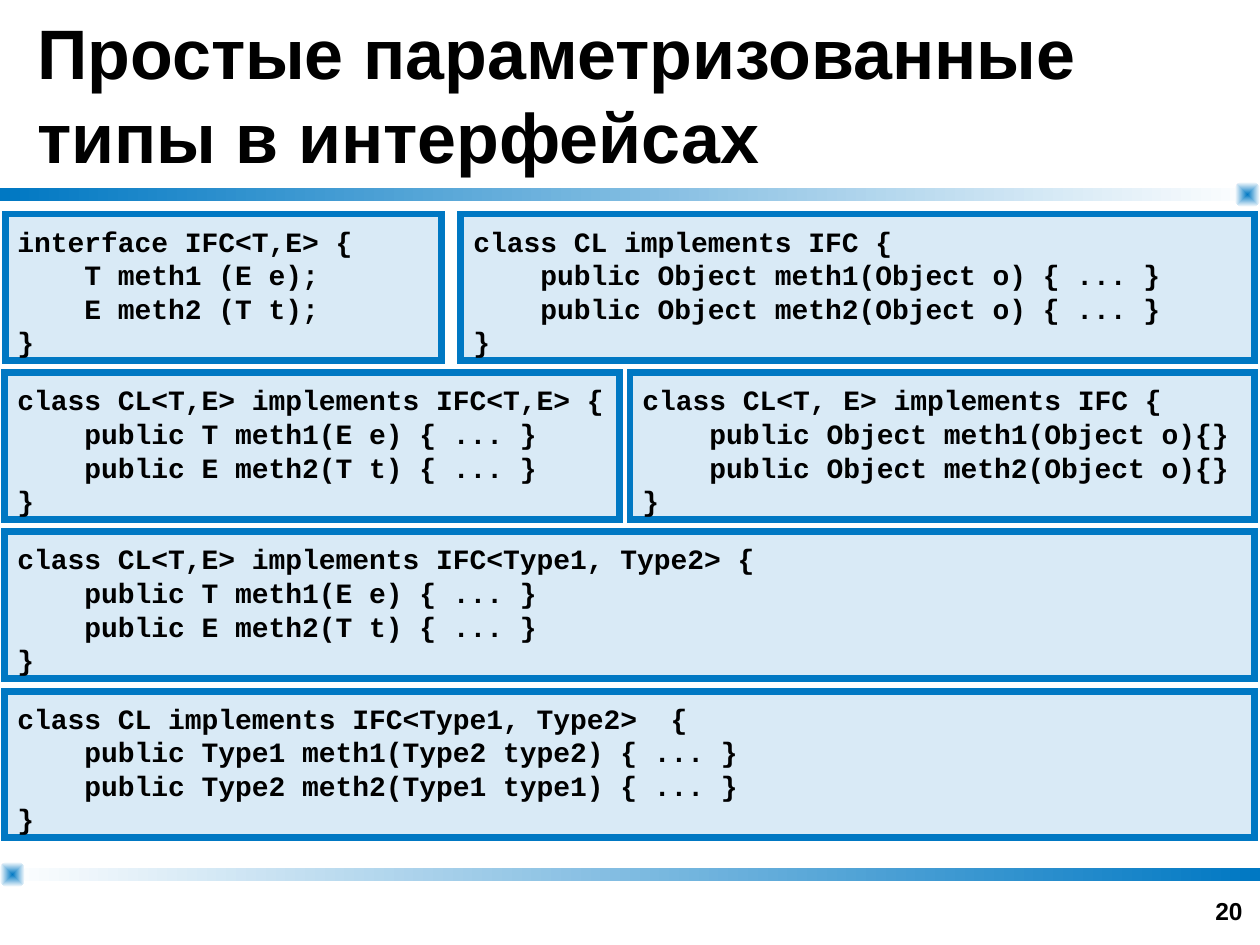
"""Build the slide on simple parameterized types in interfaces."""
from dataclasses import dataclass

from lxml.etree import SubElement
from pptx import Presentation
from pptx.dml.color import RGBColor
from pptx.enum.shapes import MSO_SHAPE as Shape
from pptx.enum.text import MSO_ANCHOR as Anchor, PP_ALIGN as Align
from pptx.oxml.ns import qn
from pptx.util import Emu, Pt


@dataclass(frozen=True)
class Theme:
    accent: RGBColor = RGBColor(0x00, 0x78, 0xC3)
    paper: RGBColor = RGBColor(0xFF, 0xFF, 0xFF)
    ink: RGBColor = RGBColor(0x00, 0x00, 0x00)
    sans: str = "Arial"
    mono: str = "Courier New"
    title_size: int = 40
    code_size: int = 16
    number_size: int = 14
    border: int = 4
    leading: float = 1.2
    tint: int = 15000


THEME = Theme()
TITLE = "Простые параметризованные типы в интерфейсах"
NUMBER = "20"
CODE_ROWS = [
    [
        (5, 442, """interface IFC<T,E> {
    T meth1 (E e);
    E meth2 (T t);
}"""),
        (461, 1255, """class CL implements IFC {
    public Object meth1(Object o) { ... }
    public Object meth2(Object o) { ... }
}"""),
    ],
    [
        (5, 620, """class CL<T,E> implements IFC<T,E> {
    public T meth1(E e) { ... }
    public E meth2(T t) { ... }
}"""),
        (630, 1255, """class CL<T, E> implements IFC {
    public Object meth1(Object o){}
    public Object meth2(Object o){}
}"""),
    ],
    [
        (5, 1255, """class CL<T,E> implements IFC<Type1, Type2> {
    public T meth1(E e) { ... }
    public E meth2(T t) { ... }
}"""),
    ],
    [
        (5, 1255, """class CL implements IFC<Type1, Type2>  {
    public Type1 meth1(Type2 type2) { ... }
    public Type2 meth2(Type1 type1) { ... }
}"""),
    ],
]
WIDTH, HEIGHT = 1260, 945
ROW_TOP, ROW_PITCH, ROW_HEIGHT = 214, 159, 147
BAR_HEIGHT, STAR_SIZE = 13, 25
BARS = [
    (188, THEME.accent, THEME.paper, WIDTH - STAR_SIZE),
    (868, THEME.paper, THEME.accent, 0),
]


def px(length):
    return Emu(round(length * 914400 / 126))


def add_box(slide, kind, *place):
    box = slide.shapes.add_shape(kind, *map(px, place))
    box.shadow.inherit = False
    return box


def add_gradient(slide, kind, place, start, end):
    box = add_box(slide, kind, *place)
    box.line.fill.background()
    box.fill.gradient()
    box.fill.gradient_angle = 0
    for stop, color in zip(box.fill.gradient_stops, (start, end)):
        stop.color.rgb = color
    return box


def add_star(slide, left, top):
    place = (left, top, STAR_SIZE, STAR_SIZE)
    star = add_gradient(slide, Shape.ROUNDED_RECTANGLE, place, THEME.accent, THEME.paper)
    star.adjustments[0] = 0.32
    gradient = star.element.spPr.find(qn("a:gradFill"))
    gradient.remove(gradient.find(qn("a:lin")))
    path = SubElement(gradient, qn("a:path"), {"path": "rect"})
    SubElement(path, qn("a:fillToRect"), dict.fromkeys("ltrb", "50000"))


def write(box, text, font, size, anchor, align=Align.LEFT, leading=None):
    frame = box.text_frame
    frame.word_wrap = True
    frame.vertical_anchor = anchor
    for index, line in enumerate(text.split("\n")):
        paragraph = frame.add_paragraph() if index else frame.paragraphs[0]
        paragraph.alignment = align
        if leading:
            paragraph.line_spacing = Pt(size * leading)
        run = paragraph.add_run()
        run.text = line
        run.font.name = font
        run.font.size = Pt(size)
        run.font.bold = True
        run.font.color.rgb = THEME.ink


def add_code(slide, left, right, top, code):
    panel = add_box(slide, Shape.RECTANGLE, left, top, right - left, ROW_HEIGHT)
    panel.fill.solid()
    panel.fill.fore_color.rgb = THEME.accent
    tint = panel.element.spPr.find(qn("a:solidFill"))[0]
    SubElement(tint, qn("a:alpha"), val=str(THEME.tint))
    panel.line.color.rgb = THEME.accent
    panel.line.width = Pt(THEME.border)
    SubElement(panel.element.spPr.find(qn("a:ln")), qn("a:miter"), lim="800000")
    panel.text_frame.margin_top = px(10)
    panel.text_frame.margin_bottom = px(2)
    write(panel, code, THEME.mono, THEME.code_size, Anchor.TOP, leading=THEME.leading)


def main():
    deck = Presentation()
    deck.slide_width, deck.slide_height = px(WIDTH), px(HEIGHT)
    slide = deck.slides.add_slide(deck.slide_layouts[6])

    for top, start, end, star_left in BARS:
        add_gradient(slide, Shape.RECTANGLE, (0, top, WIDTH, BAR_HEIGHT), start, end)
        add_star(slide, star_left, top + (BAR_HEIGHT - STAR_SIZE) // 2)

    number = slide.shapes.add_textbox(*map(px, (961, 869, 294, 63)))
    write(number, NUMBER, THEME.sans, THEME.number_size, Anchor.BOTTOM, Align.RIGHT)
    title = slide.shapes.add_textbox(*map(px, (25, 0, 1210, 188)))
    write(title, TITLE, THEME.sans, THEME.title_size, Anchor.MIDDLE, leading=THEME.leading)

    for index, row in enumerate(CODE_ROWS):
        for left, right, code in row:
            add_code(slide, left, right, ROW_TOP + index * ROW_PITCH, code)

    deck.save("out.pptx")


if __name__ == "__main__":
    main()
